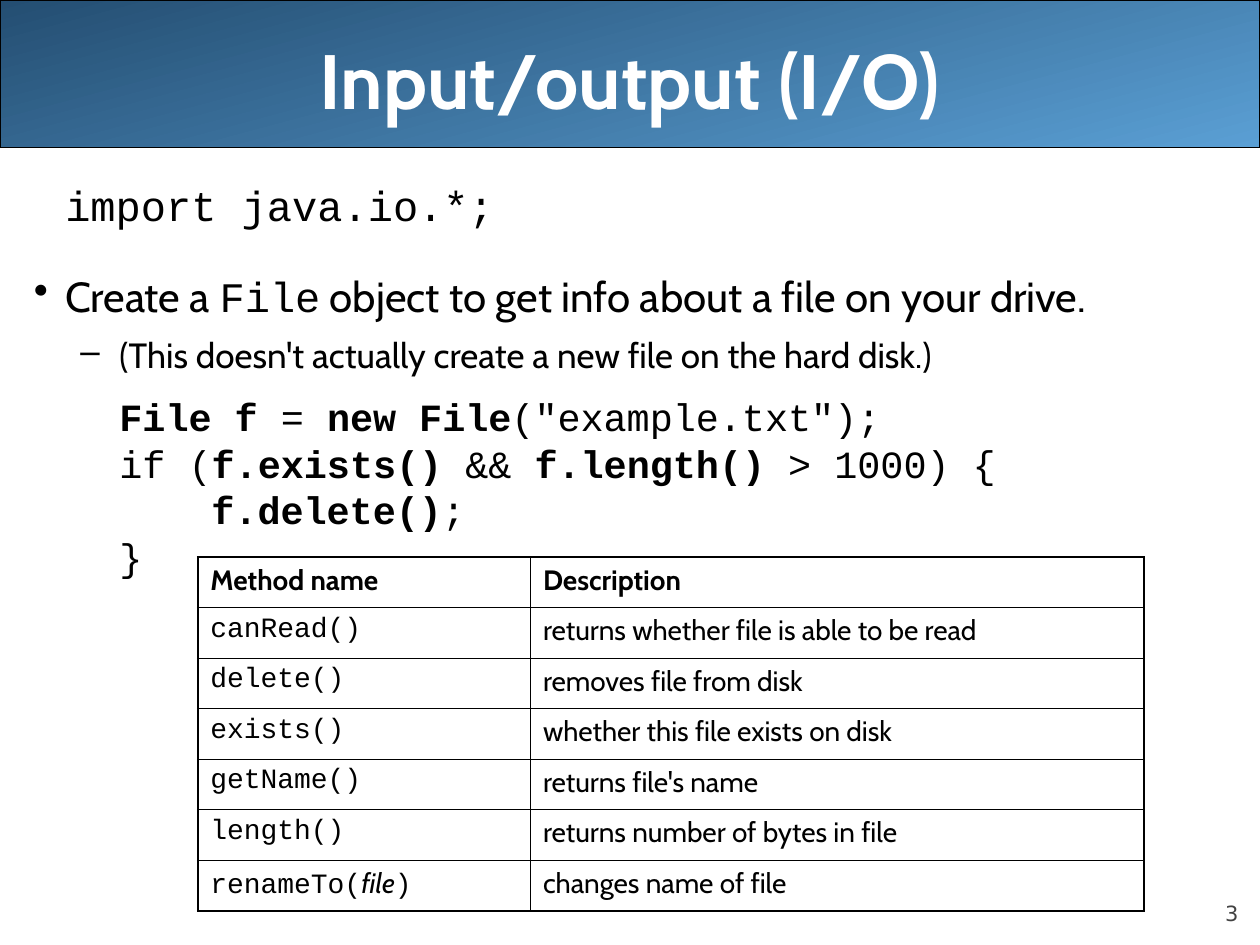
from lxml import etree
from pptx import Presentation, util as u
from pptx.dml.color import RGBColor
from pptx.enum import shapes, text
from pptx.oxml.ns import qn

BLACK = RGBColor(0x00, 0x00, 0x00)
WHITE = RGBColor(0xFF, 0xFF, 0xFF)
GREY = RGBColor(0x42, 0x42, 0x42)
NAVY = RGBColor(0x24, 0x4E, 0x72)
SKY = RGBColor(0x5A, 0x9F, 0xD4)

PROSE = {"name": "Cabin"}
CODE = {"name": "Courier New"}
BOLD_CODE = {**CODE, "bold": True}
HEADING = {**PROSE, "bold": True}

deck = Presentation()
deck.slide_width, deck.slide_height = u.Inches(10), u.Inches(7.5)
COL, ROW = deck.slide_width // 100, deck.slide_height // 75
slide = deck.slides.add_slide(deck.slide_layouts[6])


def grid(left, top, width, height):
    """Turn columns and rows of the 100 by 75 grid into slide lengths."""
    return [round(n * step) for n, step in zip((left, top, width, height), (COL, ROW, COL, ROW))]


def write(paragraph, runs, size, color=BLACK, **layout):
    for attribute, value in layout.items():
        setattr(paragraph, attribute, value)
    for words, style in runs:
        run = paragraph.add_run()
        run.text = words
        run.font.color.rgb = color
        for attribute, value in {"size": u.Pt(size), **style}.items():
            setattr(run.font, attribute, value)


# Banner, title and page number
banner = slide.shapes.add_shape(shapes.MSO_SHAPE.ROUNDED_RECTANGLE, *grid(0, 0, 100, 11.7))
banner.adjustments[0] = 0
banner.shadow.inherit = False
banner.fill.gradient()
banner.fill.gradient_angle = 285
for stop, color, position in zip(banner.fill.gradient_stops, (NAVY, SKY), (0, 1)):
    stop.color.rgb, stop.position = color, position
banner.line.color.rgb = BLACK
banner.line.width = u.Pt(0.75)

title = slide.shapes.add_textbox(*grid(5, 0, 90, 12.5)).text_frame
title.word_wrap = True
title.vertical_anchor = text.MSO_ANCHOR.MIDDLE
write(title.paragraphs[0], [("Input/output (I/O)", HEADING)], 44, WHITE,
      alignment=text.PP_ALIGN.CENTER)

page = slide.shapes.add_textbox(*grid(90, 69.5, 8.3, 4)).text_frame
page.word_wrap = True
page.vertical_anchor = text.MSO_ANCHOR.BOTTOM
for side in ("left", "top", "right", "bottom"):
    setattr(page, f"margin_{side}", 0)
write(page.paragraphs[0], [("3", {"name": "DejaVu Sans"})], 12, GREY,
      alignment=text.PP_ALIGN.RIGHT)

# Body: bullet, level, left margin, hanging indent, line spacing, space before, size, runs
CODE_LEFT = 0.68
NESTED_LEFT = CODE_LEFT + 0.73
body_lines = [
    ("", 0, 0.25, 0, 0.9, 6, 24, [("import java.io.*;", CODE)]),
    ("•", 0, 0.25, -0.25, 1.1, 20, 24, [
        ("Create a ", PROSE), ("File", CODE),
        (" object to get info about a file on your drive.", PROSE)]),
    ("–", 1, 0.68, -0.31, 1.1, 5, 20, [
        ("(This doesn't actually create a new file on the hard disk.)", PROSE)]),
    ("", 1, CODE_LEFT, 0, 0.8, 15, 22, [
        ("File f", BOLD_CODE), (" = ", CODE), ("new File", BOLD_CODE),
        ('("example.txt");', CODE)]),
    ("", 1, CODE_LEFT, 0, 0.8, 5.5, 22, [
        ("if (", CODE), ("f.exists()", BOLD_CODE), (" && ", CODE),
        ("f.length()", BOLD_CODE), (" > 1000) {", CODE)]),
    ("", 1, NESTED_LEFT, 0, 0.8, 5.5, 22, [("f.delete()", BOLD_CODE), (";", CODE)]),
    ("", 1, CODE_LEFT, 0, 0.8, 5.5, 22, [("}", CODE)]),
]
body = slide.shapes.add_textbox(*grid(1.7, 14.2, 98.3, 56.7)).text_frame
body.word_wrap = True
for i, (bullet, level, left, hang, spacing, before, size, runs) in enumerate(body_lines):
    line = body.add_paragraph() if i else body.paragraphs[0]
    write(line, runs, size, level=level, line_spacing=spacing, space_before=u.Pt(before))
    properties = line._p.get_or_add_pPr()
    properties.set("marL", str(u.Inches(left)))
    properties.set("indent", str(u.Inches(hang)))
    if bullet:
        etree.SubElement(properties, qn("a:buChar"), char=bullet)

# Table of File methods
methods = [
    ([("Method name", HEADING)], [("Description", HEADING)]),
    ([("canRead()", CODE)], [("returns whether file is able to be read", PROSE)]),
    ([("delete()", CODE)], [("removes file from disk", PROSE)]),
    ([("exists()", CODE)], [("whether this file exists on disk", PROSE)]),
    ([("getName()", CODE)], [("returns file's name", PROSE)]),
    ([("length()", CODE)], [("returns number of bytes in file", PROSE)]),
    ([("renameTo(", CODE), ("file", {**PROSE, "italic": True}), (")", CODE)],
     [("changes name of file", PROSE)]),
]
last = len(methods) - 1
table = slide.shapes.add_table(len(methods), 2, *grid(15.7, 44.2, 75.1, 28.1)).table
table.first_row = table.horz_banding = False
for column, width in zip(table.columns, (26.4, 48.7)):
    column.width = round(width * COL)

for r, entry in enumerate(methods):
    for c, runs in enumerate(entry):
        cell = table.cell(r, c)
        write(cell.text_frame.paragraphs[0], runs, 16, space_before=u.Pt(4))
        outer_edges = {"lnL": c == 0, "lnR": c == 1, "lnT": r == 0, "lnB": r == last}
        for edge, outer in outer_edges.items():
            border = etree.SubElement(cell._tc.get_or_add_tcPr(), qn(f"a:{edge}"),
                                      w=str(u.Pt(1.08 if outer else 0.45)))
            ink = etree.SubElement(border, qn("a:solidFill"))
            etree.SubElement(ink, qn("a:srgbClr"), val=str(BLACK))
        cell.fill.solid()
        cell.fill.fore_color.rgb = WHITE

deck.save("out.pptx")
